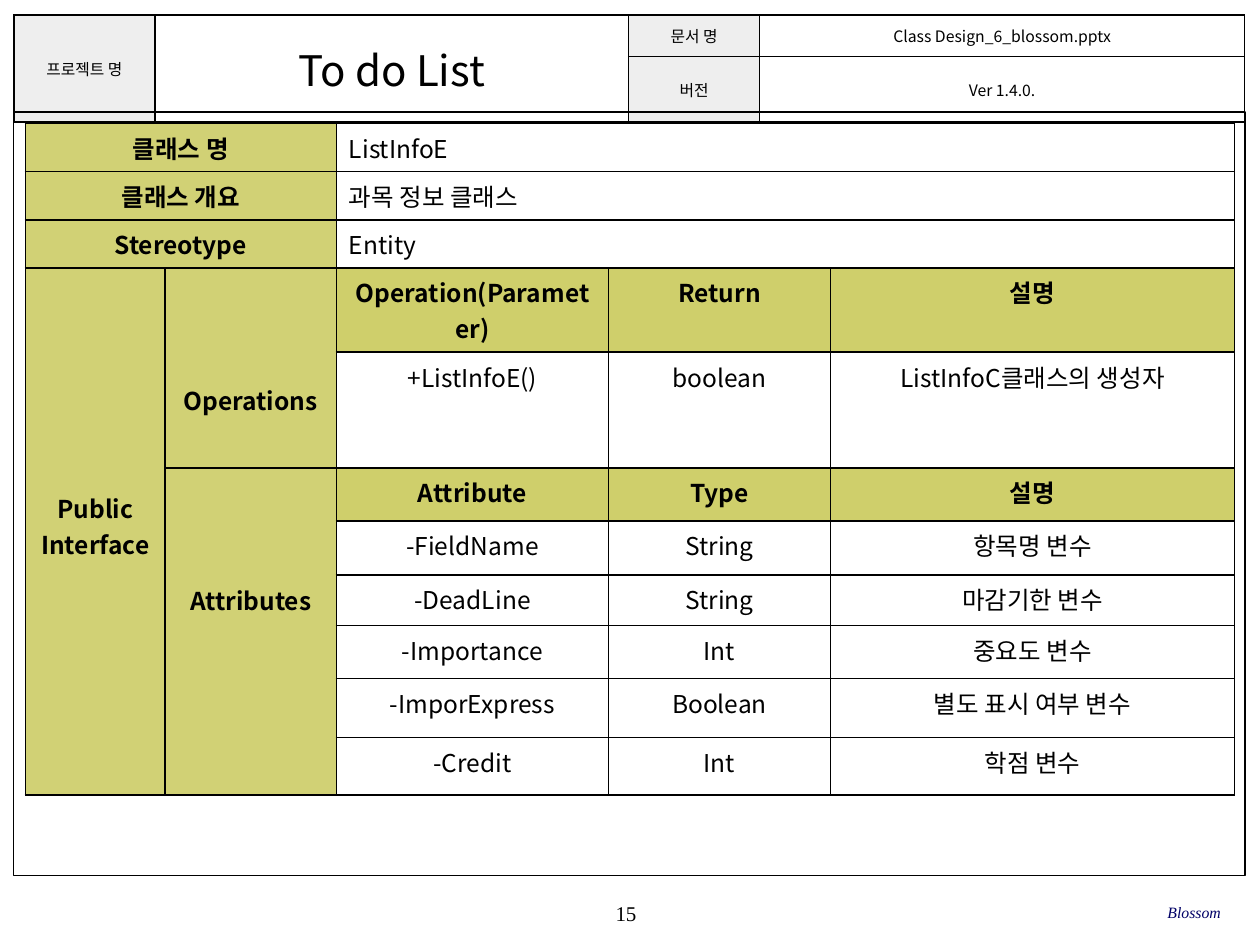
from lxml import etree
from pptx import Presentation
from pptx.dml.color import RGBColor
from pptx.enum.shapes import MSO_SHAPE
from pptx.enum.text import MSO_ANCHOR, PP_ALIGN
from pptx.oxml.ns import qn
from pptx.util import Cm, Pt

LEFT, CENTER, RIGHT = PP_ALIGN.LEFT, PP_ALIGN.CENTER, PP_ALIGN.RIGHT
TOP, MIDDLE = MSO_ANCHOR.TOP, MSO_ANCHOR.MIDDLE
RECTANGLE = MSO_SHAPE.RECTANGLE

COLORS = {"black": "000000", "white": "FFFFFF", "gray": "EEEEEE",
          "label": "D1D175", "heading": "CFCF6B", "navy": "000066"}
SANS, SERIF = "Noto Sans CJK KR", "Times New Roman"

DOCUMENT = [
    ["프로젝트 명", "To do List", "문서 명", "Class Design_6_blossom.pptx"],
    [None, None, "버전", "Ver 1.4.0."],
]
SUMMARY = [
    ("클래스 명", "ListInfoE"),
    ("클래스 개요", "과목 정보 클래스"),
    ("Stereotype", "Entity"),
]
INTERFACE = ["Public", "Interface"]
MEMBERS = {
    "Operations": [
        ("Operation(Parameter)", "Return", "설명"),
        ("+ListInfoE()", "boolean", "ListInfoC클래스의 생성자"),
    ],
    "Attributes": [
        ("Attribute", "Type", "설명"),
        ("-FieldName", "String", "항목명 변수"),
        ("-DeadLine", "String", "마감기한 변수"),
        ("-Importance", "Int", "중요도 변수"),
        ("-ImporExpress", "Boolean", "별도 표시 여부 변수"),
        ("-Credit", "Int", "학점 변수"),
    ],
}
DOCUMENT_COLS, DOCUMENT_ROWS = [2.84, 9.55, 2.64, 9.78], [0.84, 1.32]
CLASS_COLS = [2.82, 3.45, 5.49, 4.47, 8.15]
CLASS_ROWS = [0.97, 0.97, 0.97, 1.7, 2.33, 1.07, 1.09, 1.02, 1.07, 1.19, 1.16]


def rgb(name):
    return RGBColor.from_string(COLORS[name])


def write(frame, lines, size, align=CENTER, bold=False, italic=False,
          family=SANS, color="black"):
    for index, line in enumerate(lines):
        paragraph = frame.paragraphs[0] if index == 0 else frame.add_paragraph()
        paragraph.alignment = align
        run = paragraph.add_run()
        run.text = line
        font = run.font
        font.size, font.name = Pt(size), family
        font.bold, font.italic = bold, italic
        font.color.rgb = rgb(color)
        east_asian = etree.SubElement(run._r.get_or_add_rPr(), qn("a:ea"))
        east_asian.set("typeface", family)


def add_grid(slide, left, top, cols, rows):
    grid = slide.shapes.add_table(len(rows), len(cols), Cm(left), Cm(top),
                                  Cm(sum(cols)), Cm(sum(rows))).table
    grid.first_row = grid.horz_banding = False
    for column, width in zip(grid.columns, cols):
        column.width = Cm(width)
    for row, height in zip(grid.rows, rows):
        row.height = Cm(height)
    for cell in grid.iter_cells():
        cell.fill.background()
        properties = cell._tc.get_or_add_tcPr()
        for position, side in enumerate(("a:lnL", "a:lnR", "a:lnT", "a:lnB")):
            border = etree.Element(qn(side), w=str(Pt(1)))
            solid = etree.SubElement(border, qn("a:solidFill"))
            etree.SubElement(solid, qn("a:srgbClr"), val=COLORS["black"])
            properties.insert(position, border)
    return grid


def fill_cell(cell, lines, size, fill=None, anchor=TOP, top=None, **style):
    cell.vertical_anchor = anchor
    if top is not None:
        cell.margin_top = Cm(top)
    if fill:
        cell.fill.solid()
        cell.fill.fore_color.rgb = rgb(fill)
    write(cell.text_frame, lines, size, **style)


def add_document_table(slide):
    grid = add_grid(slide, 0.28, 0.3, DOCUMENT_COLS, DOCUMENT_ROWS)
    for col in (0, 1):
        grid.cell(0, col).merge(grid.cell(1, col))
    for row, texts in enumerate(DOCUMENT):
        for col, text in enumerate(texts):
            if text is None:
                continue
            cell = grid.cell(row, col)
            cell.margin_left = cell.margin_right = Cm(0.1)
            cell.margin_bottom = Cm(0.05)
            fill_cell(cell, [text], 24 if col == 1 else 9,
                      "gray" if col % 2 == 0 else None, MIDDLE, 0.05)


def add_class_table(slide):
    grid = add_grid(slide, 0.51, 2.49, CLASS_COLS, CLASS_ROWS)
    last_row, last_col = len(CLASS_ROWS) - 1, len(CLASS_COLS) - 1
    for row, (label, value) in enumerate(SUMMARY):
        grid.cell(row, 0).merge(grid.cell(row, 1))
        grid.cell(row, 2).merge(grid.cell(row, last_col))
        fill_cell(grid.cell(row, 0), [label], 14, "label", bold=True)
        fill_cell(grid.cell(row, 2), [value], 14, "white", align=LEFT)
    row = len(SUMMARY)
    grid.cell(row, 0).merge(grid.cell(last_row, 0))
    fill_cell(grid.cell(row, 0), INTERFACE, 14, "label", top=4.48, bold=True)
    for group, members in MEMBERS.items():
        grid.cell(row, 1).merge(grid.cell(row + len(members) - 1, 1))
        fill_cell(grid.cell(row, 1), [group], 14, "label", top=2.3, bold=True)
        for index, texts in enumerate(members):
            heading = index == 0
            for col, text in enumerate(texts, 2):
                fill_cell(grid.cell(row, col), [text], 14,
                          "heading" if heading else "white", bold=heading)
            row += 1


def add_footer(slide, text, left, top, width, size, **style):
    frame = slide.shapes.add_textbox(Cm(left), Cm(top), Cm(width), Cm(0.84)).text_frame
    frame.word_wrap = True
    frame.vertical_anchor = MIDDLE
    frame.margin_left = frame.margin_right = frame.margin_top = frame.margin_bottom = 0
    write(frame, [text], size, family=SERIF, **style)


def main():
    deck = Presentation()
    deck.slide_width, deck.slide_height = Cm(25.4), Cm(19.05)
    slide = deck.slides.add_slide(deck.slide_layouts[6])
    add_footer(slide, "15", 9.98, 17.98, 5.28, 12)
    add_document_table(slide)
    page_frame = slide.shapes.add_shape(RECTANGLE, Cm(0.28), Cm(2.26), Cm(24.82), Cm(15.39))
    page_frame.shadow.inherit = False
    page_frame.fill.background()
    page_frame.line.color.rgb = rgb("black")
    page_frame.line.width = Pt(0.75)
    add_footer(slide, "Blossom", 16.84, 17.96, 7.77, 9,
               align=RIGHT, italic=True, color="navy")
    add_class_table(slide)
    deck.save("out.pptx")


if __name__ == "__main__":
    main()
